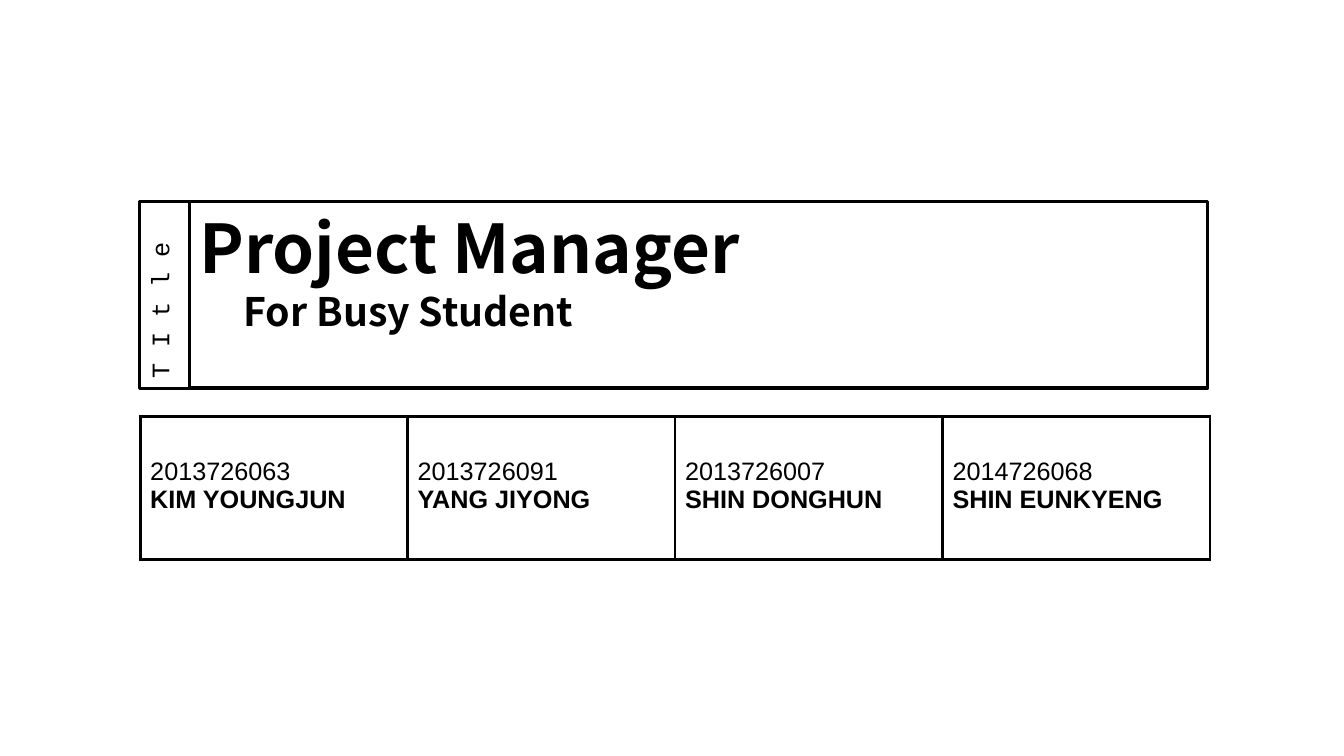
from dataclasses import dataclass

from lxml.etree import SubElement
from pptx import Presentation
from pptx.dml.color import RGBColor
from pptx.enum.shapes import MSO_SHAPE
from pptx.enum.text import MSO_ANCHOR, MSO_AUTO_SIZE, PP_ALIGN
from pptx.oxml.ns import qn
from pptx.util import Inches, Pt


@dataclass(frozen=True)
class Theme:
    ink: RGBColor = RGBColor(0, 0, 0)
    paper: RGBColor = RGBColor(255, 255, 255)
    heading_font: str = "Noto Sans CJK KR"
    label_font: str = "Courier New"
    body_font: str = "Arial"
    title_size: int = 48
    subtitle_size: int = 28
    body_size: int = 18
    border: float = 2.25


theme = Theme()


def add_box(left, top, width, height):
    box = page.shapes.add_shape(
        MSO_SHAPE.RECTANGLE, Inches(left), Inches(top), Inches(width), Inches(height)
    )
    box.shadow.inherit = False
    box.fill.background()
    box.line.color.rgb = theme.ink
    box.line.width = Pt(theme.border)
    box.text_frame.word_wrap = True
    box.text_frame.vertical_anchor = MSO_ANCHOR.TOP
    box.text_frame.auto_size = MSO_AUTO_SIZE.SHAPE_TO_FIT_TEXT
    return box


def write(para, text, font, size, bold=False, align=PP_ALIGN.LEFT):
    para.text = text
    para.alignment = align
    para.font.name = font
    para.font.size = Pt(size)
    para.font.bold = bold
    para.font.color.rgb = theme.ink


deck = Presentation()
deck.slide_width = Inches(13.33)
deck.slide_height = Inches(7.5)
page = deck.slides.add_slide(deck.slide_layouts[6])

panel = add_box(1.09, 1.53, 11.21, 4.3)
panel.text_frame.auto_size = MSO_AUTO_SIZE.NONE
panel.line.fill.background()
panel.fill.solid()
panel.fill.fore_color.rgb = theme.paper
panel_color = panel.fill._xPr.find(qn("a:solidFill"))[0]
SubElement(panel_color, qn("a:alpha"), val="74000")

title_frame = add_box(1.88, 2, 10.1, 1.85).text_frame
write(title_frame.paragraphs[0], "Project Manager", theme.heading_font, theme.title_size, True)
subtitle = title_frame.add_paragraph()
subtitle._p.get_or_add_pPr().set("marL", str(Inches(0.44)))
write(subtitle, "For Busy Student", theme.heading_font, theme.subtitle_size, True)

label = add_box(1.38, 2, 0.5, 1.85)
label.rotation = 180
label.text_frame._txBody.bodyPr.set("vert", "eaVert")
write(label.text_frame.paragraphs[0], "T I t l e", theme.label_font, theme.body_size,
      align=PP_ALIGN.CENTER)

members = [
    ("2013726063", "KIM YOUNGJUN"),
    ("2013726091", "YANG JIYONG"),
    ("2013726007", "SHIN DONGHUN"),
    ("2014726068", "SHIN EUNKYENG"),
]
table = page.shapes.add_table(
    1, len(members), Inches(1.39), Inches(4.13), Inches(10.61), Inches(1.42)
).table
for cell, (number, name) in zip(table.rows[0].cells, members):
    cell.fill.background()
    cell.margin_top = Inches(0.41)
    cell.vertical_anchor = MSO_ANCHOR.TOP
    write(cell.text_frame.paragraphs[0], number, theme.body_font, theme.body_size)
    write(cell.text_frame.add_paragraph(), name, theme.body_font, theme.body_size, True)
    properties = cell._tc.get_or_add_tcPr()
    for position, side in enumerate(("lnL", "lnR", "lnT", "lnB")):
        edge = SubElement(properties, qn(f"a:{side}"), w=str(Pt(theme.border)))
        paint = SubElement(edge, qn("a:solidFill"))
        SubElement(paint, qn("a:srgbClr"), val=str(theme.ink))
        properties.insert(position, edge)

deck.save("out.pptx")
